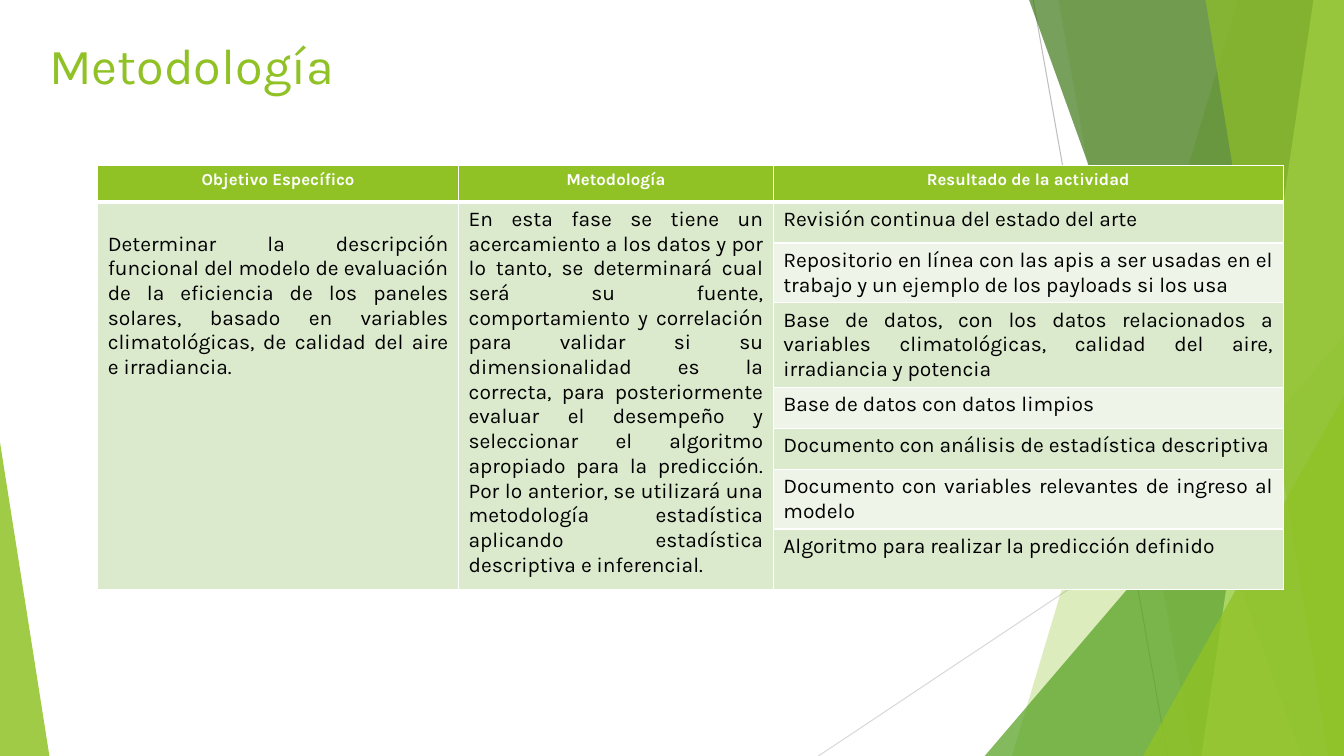
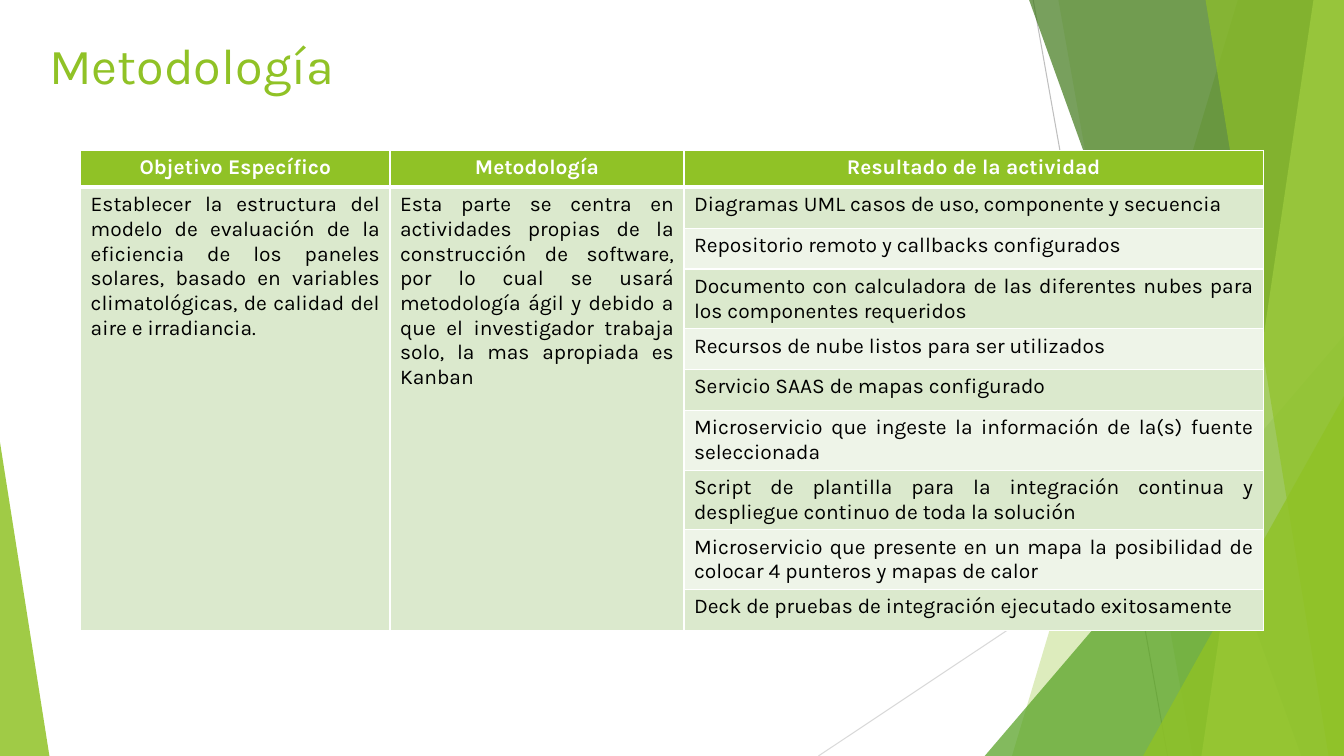
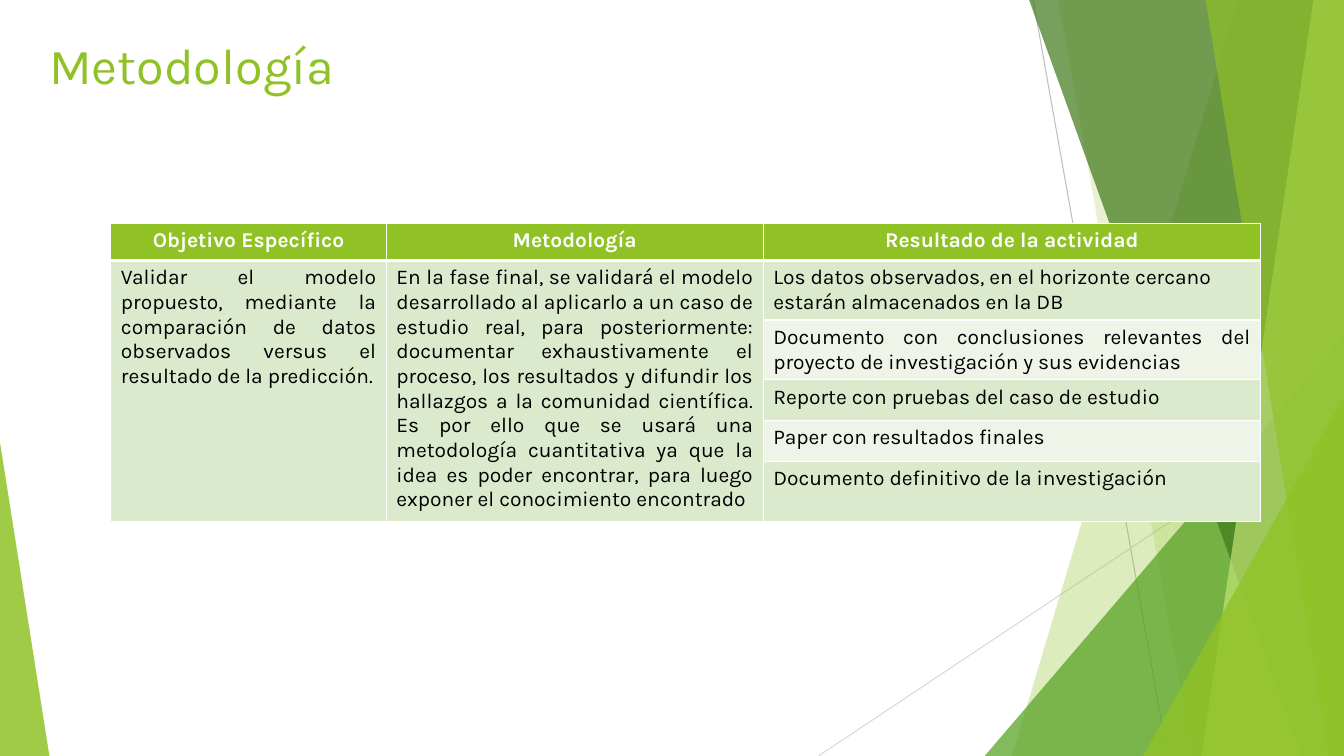
from lxml import etree
from pptx import Presentation
from pptx.dml.color import RGBColor
from pptx.enum.shapes import MSO_CONNECTOR, MSO_SHAPE
from pptx.enum.text import MSO_ANCHOR, PP_ALIGN
from pptx.oxml.ns import qn
from pptx.util import Pt

STRAIGHT = MSO_CONNECTOR.STRAIGHT
TRIANGLE = MSO_SHAPE.ISOSCELES_TRIANGLE
TOP = MSO_ANCHOR.TOP
LEFT, CENTER, JUSTIFY = PP_ALIGN.LEFT, PP_ALIGN.CENTER, PP_ALIGN.JUSTIFY

WIDE, HIGH = 960, 540
FONT = "Karla"
HEADS = ["Objetivo Específico", "Metodología", "Resultado de la actividad"]
HEAD_ROW, BODY_ROW = 26.4, 29.2
COLORS = {
    "lime": "90C226",
    "green": "54A021",
    "forest": "3F7819",
    "pale": "C0E474",
    "gray": "BFBFBF",
    "silver": "D9D9D9",
    "band": "DBE9CD",
    "light": "EEF4E8",
    "white": "FFFFFF",
    "black": "000000",
}


def rgb(name):
    return RGBColor.from_string(COLORS[name])


def write(frame, text, size=15, color="black", bold=False, align=JUSTIFY):
    para = frame.paragraphs[0]
    para.alignment = align
    run = para.add_run()
    run.text = text
    font = run.font
    font.name, font.size, font.bold = FONT, Pt(size), bold
    font.color.rgb = rgb(color)


def paint(shape, color, alpha):
    """Fill a shape with a see-through colour, alpha in percent."""
    shape.shadow.inherit = False
    shape.line.fill.background()
    shape.fill.solid()
    shape.fill.fore_color.rgb = rgb(color)
    tint = shape.fill._xPr.find(".//" + qn("a:srgbClr"))
    etree.SubElement(tint, qn("a:alpha"), val=str(alpha * 1000))


def line(slide, x1, y1, x2, y2, color):
    link = slide.shapes.add_connector(STRAIGHT, Pt(x1), Pt(y1), Pt(x2), Pt(y2))
    link.line.color.rgb = rgb(color)
    link.line.width = Pt(0.75)
    etree.SubElement(link._element.spPr, qn("a:effectLst"))


def panel(slide, head, foot, color, alpha):
    """Draw a full-height band from a slanted left edge to the right side."""
    build = slide.shapes.build_freeform(Pt(head), 0)
    corners = [(WIDE, 0), (WIDE, HIGH), (foot, HIGH)]
    build.add_line_segments([(Pt(x), Pt(y)) for x, y in corners], close=True)
    paint(build.convert_to_shape(), color, alpha)


def wedge(slide, left, right, top, tip, color, alpha):
    """Draw a triangle that stands on the bottom edge of the slide."""
    shape = slide.shapes.add_shape(
        TRIANGLE, Pt(left), Pt(top), Pt(right - left), Pt(HIGH - top))
    shape.adjustments[0] = tip
    paint(shape, color, alpha)


def decor(slide):
    line(slide, 738, 0, 834, HIGH, "gray")
    line(slide, WIDE, 290, 584.6, HIGH, "silver")
    panel(slide, 884.2, 722.9, "lime", 30)
    panel(slide, 756, 851.8, "lime", 20)
    wedge(slide, 703.4, WIDE, 239.8, 1, "green", 72)
    panel(slide, 735.1, 929.5, "forest", 70)
    panel(slide, 938.2, 858.2, "pale", 70)
    panel(slide, 861.1, 949, "lime", 65)
    wedge(slide, 816.5, WIDE, 283, 1, "lime", 80)
    wedge(slide, 0, 35.3, 316, 0, "lime", 85)


def title(slide, text):
    box = slide.shapes.add_textbox(Pt(28), Pt(21), Pt(677), Pt(104))
    box.text_frame.word_wrap = True
    box.text_frame.vertical_anchor = TOP
    write(box.text_frame, text, size=36, color="lime", align=LEFT)


def border(cell, top, bottom):
    props = cell._tc.get_or_add_tcPr()
    for side, width in (("L", 1), ("R", 1), ("T", top), ("B", bottom)):
        edge = etree.SubElement(props, qn("a:ln" + side), w=str(Pt(width)))
        fill = etree.SubElement(edge, qn("a:solidFill"))
        etree.SubElement(fill, qn("a:srgbClr"), val=COLORS["white"])


def style(cell, row):
    border(cell, 3 if row == 1 else 1, 3 if row == 0 else 1)
    cell.margin_bottom = Pt(3)
    cell.fill.solid()
    name = "lime" if row == 0 else "band" if row % 2 else "light"
    cell.fill.fore_color.rgb = rgb(name)


def grid(slide, left, top, widths, goal, method, results, size=15, ragged=None):
    """Add a table whose first two columns span all result rows."""
    count = len(results) + 1
    table = slide.shapes.add_table(
        count, len(widths), Pt(left), Pt(top), Pt(sum(widths)),
        Pt(HEAD_ROW + BODY_ROW * len(results))).table
    table.first_row = table.horz_banding = False
    for col, width in zip(table.columns, widths):
        col.width = Pt(width)
    for index, row in enumerate(table.rows):
        row.height = Pt(BODY_ROW if index else HEAD_ROW)
        for cell in row.cells:
            style(cell, index)
    for col, head in enumerate(HEADS):
        write(table.cell(0, col).text_frame, head, size=size, color="white",
              bold=True, align=CENTER)
    for col, text in enumerate((goal, method)):
        table.cell(1, col).merge(table.cell(count - 1, col))
        write(table.cell(1, col).text_frame, text)
    for row, text in enumerate(results, 1):
        write(table.cell(row, 2).text_frame, text,
              align=LEFT if row == ragged else JUSTIFY)
    return table


def page(deck):
    slide = deck.slides.add_slide(deck.slide_layouts[6])
    decor(slide)
    title(slide, "Metodología")
    return slide


def main():
    deck = Presentation()
    deck.slide_width, deck.slide_height = Pt(WIDE), Pt(HIGH)

    table = grid(
        page(deck), 69.8, 118, [257.8, 224.8, 364.2],
        "Determinar la descripción funcional del modelo de evaluación de la "
        "eficiencia de los paneles solares, basado en variables "
        "climatológicas, de calidad del aire e irradiancia.",
        "En esta fase se tiene un acercamiento a los datos y por lo tanto, se "
        "determinará cual será su fuente, comportamiento y correlación para "
        "validar si su dimensionalidad es la correcta, para posteriormente "
        "evaluar el desempeño y seleccionar el algoritmo apropiado para la "
        "predicción. Por lo anterior, se utilizará una metodología "
        "estadística aplicando estadística descriptiva e inferencial.",
        ["Revisión continua del estado del arte",
         "Repositorio en línea con las apis a ser usadas en el trabajo y un "
         "ejemplo de los payloads si los usa",
         "Base de datos, con los datos relacionados a variables "
         "climatológicas, calidad del aire, irradiancia y potencia",
         "Base de datos con datos limpios",
         "Documento con análisis de estadística descriptiva",
         "Documento con variables relevantes de ingreso al modelo",
         "Algoritmo para realizar la predicción definido"],
        size=12)
    table.cell(1, 0).margin_top = Pt(21.2)

    grid(
        page(deck), 57.6, 107.4, [221, 210, 414],
        "Establecer la estructura del modelo de evaluación de la eficiencia "
        "de los paneles solares, basado en variables climatológicas, de "
        "calidad del aire e irradiancia.",
        "Esta parte se centra en actividades propias de la construcción de "
        "software, por lo cual se usará metodología ágil y debido a que el "
        "investigador trabaja solo, la mas apropiada es Kanban",
        ["Diagramas UML casos de uso, componente y secuencia",
         "Repositorio remoto y callbacks configurados",
         "Documento con calculadora de las diferentes nubes para los "
         "componentes requeridos",
         "Recursos de nube listos para ser utilizados",
         "Servicio SAAS de mapas configurado",
         "Microservicio que ingeste la información de la(s) fuente "
         "seleccionada",
         "Script de plantilla para la integración continua y despliegue "
         "continuo de toda la solución",
         "Microservicio que presente en un mapa la posibilidad de colocar 4 "
         "punteros y mapas de calor",
         "Deck de pruebas de integración ejecutado exitosamente"])

    grid(
        page(deck), 79.2, 159.6, [196.8, 269.2, 355.4],
        "Validar el modelo propuesto, mediante la comparación de datos "
        "observados versus el resultado de la predicción.",
        "En la fase final, se validará el modelo desarrollado al aplicarlo a "
        "un caso de estudio real, para posteriormente: documentar "
        "exhaustivamente el proceso, los resultados y difundir los hallazgos "
        "a la comunidad científica. Es por ello que se usará una metodología "
        "cuantitativa ya que la idea es poder encontrar, para luego exponer "
        "el conocimiento encontrado",
        ["Los datos observados, en el horizonte cercano estarán almacenados "
         "en la DB",
         "Documento con conclusiones relevantes del proyecto de "
         "investigación y sus evidencias",
         "Reporte con pruebas del caso de estudio",
         "Paper con resultados finales",
         "Documento definitivo de la investigación"],
        ragged=1)

    deck.save("out.pptx")


if __name__ == "__main__":
    main()
